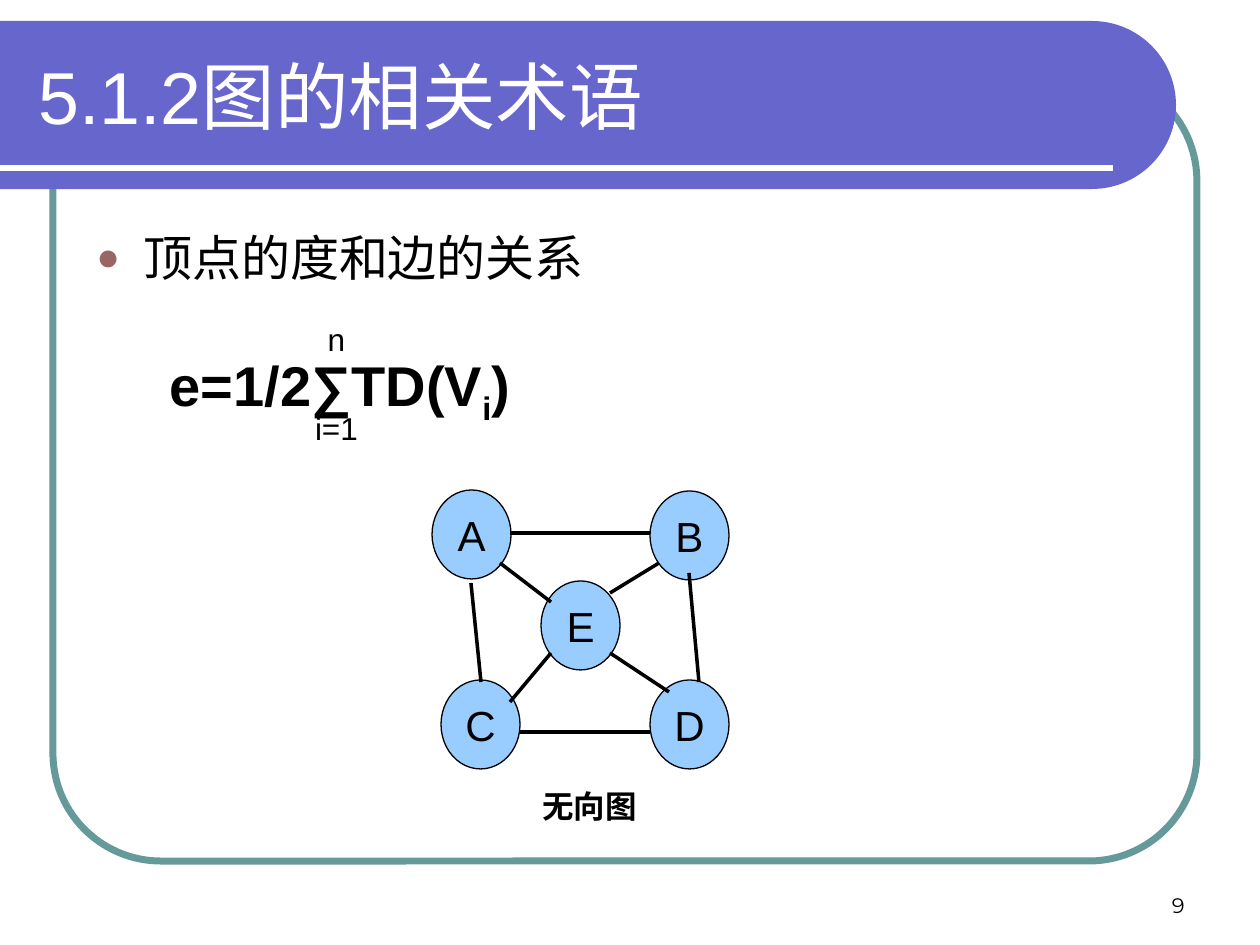
from math import cos, pi, sin

from lxml.etree import SubElement
from pptx import Presentation
from pptx.dml.color import RGBColor
from pptx.enum.shapes import MSO_CONNECTOR as CONN, MSO_SHAPE as SHAPE
from pptx.enum.text import MSO_ANCHOR as ANCHOR, PP_ALIGN as ALIGN
from pptx.oxml.ns import qn
from pptx.util import Emu, Pt

PX = 914400 / 126
BLACK, WHITE = "000000", "FFFFFF"
TEAL, VIOLET, SKY, MAUVE = "669999", "6666CC", "99CCFF", "996666"

NODE_W, NODE_H = 79, 89
NODES = {"A": (432, 490), "D": (650, 680), "C": (441, 680), "B": (650, 491), "E": (541, 581)}
EDGES = [
    (500, 563, 551, 602),  # A-E
    (610, 653, 669, 692),  # E-D
    (689, 573, 699, 682),  # B-D
    (510, 533, 650, 533),  # A-B
    (471, 583, 481, 682),  # A-C
    (520, 732, 650, 732),  # C-D
    (510, 702, 551, 653),  # C-E
    (659, 563, 610, 593),  # B-E
]


def px(*values):
    return [Emu(round(v * PX)) for v in values]


def rgb(value):
    return RGBColor.from_string(value)


def paint(sp, fill=None, line=None, width=1):
    sp.shadow.inherit = False
    for part, color in ((sp.fill, fill), (sp.line.fill, line)):
        if color:
            part.solid()
            part.fore_color.rgb = rgb(color)
        else:
            part.background()
    if line:
        sp.line.width = Pt(width)


def write(sp, runs, size, color=BLACK, font="Arial", bold=False,
          align=ALIGN.LEFT, anchor=ANCHOR.TOP, wrap=True):
    """Fill the shape with one paragraph; runs are (text, baseline) pairs."""
    tf = sp.text_frame
    tf.word_wrap = wrap
    tf.vertical_anchor = anchor
    p = tf.paragraphs[0]
    p.alignment = align
    for text, baseline in runs:
        r = p.add_run()
        r.text = text
        for name, value in {"size": Pt(size), "name": font, "bold": bold}.items():
            setattr(r.font, name, value)
        r.font.color.rgb = rgb(color)
        if baseline:
            r.font._element.set("baseline", str(baseline * 1000))
    return p


def add_text(slide, box, text, size, **fmt):
    runs = [(text, 0)] if isinstance(text, str) else text
    return write(slide.shapes.add_textbox(*px(*box)), runs, size, **fmt)


def add_bullet(p, indent, color, percent):
    pPr = p._p.get_or_add_pPr()
    pPr.set("marL", str(indent))
    pPr.set("indent", str(-indent))
    SubElement(SubElement(pPr, qn("a:buClr")), qn("a:srgbClr")).set("val", color)
    SubElement(pPr, qn("a:buSzPct")).set("val", str(percent * 1000))
    SubElement(pPr, qn("a:buFont")).set("typeface", "Arial")
    SubElement(pPr, qn("a:buChar")).set("char", "●")


def add_line(slide, ends, color, width):
    line = slide.shapes.add_connector(CONN.STRAIGHT, *px(*ends))
    line.line.color.rgb = rgb(color)
    line.line.width = Pt(width)
    SubElement(line._element.spPr, qn("a:effectLst"))


def add_frame(slide):
    sp = slide.shapes.add_shape(SHAPE.ROUNDED_RECTANGLE, *px(53, 73, 1144, 788))
    sp.adjustments[0] = 0.137
    paint(sp, line=TEAL, width=4)


def add_title_band(slide, top=21, radius=84, center_x=1092, steps=60):
    """A band from the slide's left edge with a half-round right end."""
    angles = [pi * i / steps - pi / 2 for i in range(steps + 1)]
    arc = [(center_x + radius * cos(a), top + radius + radius * sin(a)) for a in angles]
    builder = slide.shapes.build_freeform(*px(0, top), scale=1.0)
    builder.add_line_segments([px(*pt) for pt in arc + [(0, top + 2 * radius)]])
    paint(builder.convert_to_shape(), fill=VIOLET)


def add_node(slide, label, left, top):
    sp = slide.shapes.add_shape(SHAPE.OVAL, *px(left, top, NODE_W, NODE_H))
    paint(sp, SKY, BLACK, 0.75)
    write(sp, [(label, 0)], 24, align=ALIGN.CENTER, anchor=ANCHOR.MIDDLE, wrap=False)


def main():
    prs = Presentation()
    prs.slide_width, prs.slide_height = px(1260, 945)
    slide = prs.slides.add_slide(prs.slide_layouts[6])

    add_frame(slide)
    add_title_band(slide)
    add_line(slide, (0, 168, 1113, 168), WHITE, 3)
    add_text(slide, (26, 32, 1105, 126), "5.1.2图的相关术语", 42,
             color=WHITE, anchor=ANCHOR.MIDDLE)
    p = add_text(slide, (84, 221, 714, 222), "顶点的度和边的关系", 28)
    add_bullet(p, px(47)[0], MAUVE, 80)

    add_text(slide, (152, 344, 376, 89), [("e=1/2∑TD(V", 0), ("i", -25), (")", 0)], 32,
             bold=True, align=ALIGN.CENTER, wrap=False)
    for limit, top in (("i=1", 403), ("n", 314)):
        add_text(slide, (292, top, 89, 50), limit, 18, align=ALIGN.CENTER)

    for label, (left, top) in NODES.items():
        add_node(slide, label, left, top)
    for ends in EDGES:
        add_line(slide, ends, BLACK, 2)
    add_text(slide, (520, 781, 139, 50), "无向图", 18, bold=True, align=ALIGN.CENTER)
    add_text(slide, (903, 861, 294, 63), "9", 12, font="Montserrat",
             align=ALIGN.RIGHT, anchor=ANCHOR.BOTTOM)

    prs.save("out.pptx")


if __name__ == "__main__":
    main()
